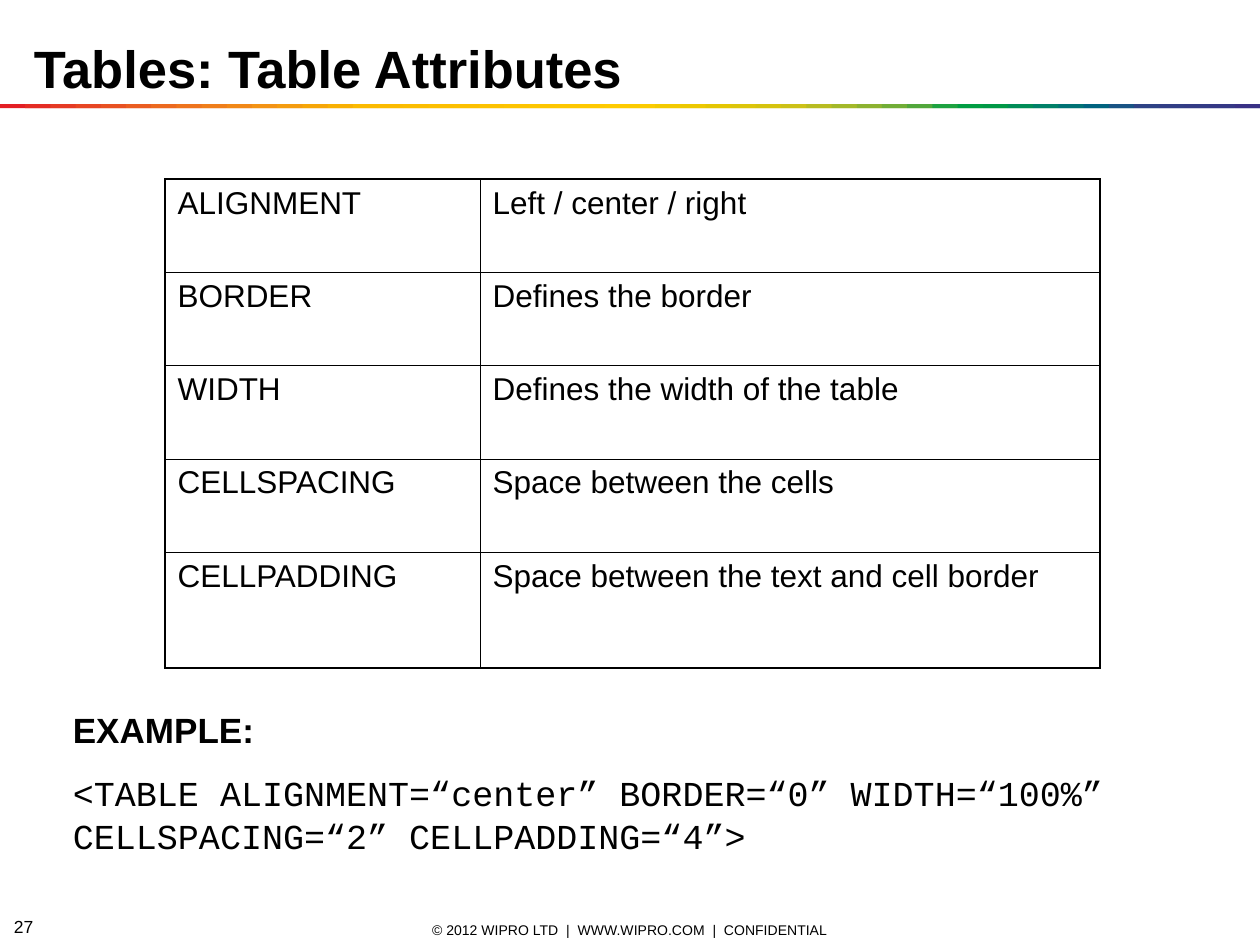
from lxml import etree
from pptx import Presentation
from pptx import util as u
from pptx.dml.color import RGBColor
from pptx.enum import shapes, text
from pptx.oxml.ns import qn

Cm, Pt = u.Cm, u.Pt
HUES = {
    "ink": "000000",
    "band": """E31E24 E42C24 E53A24 E74623 E85122 EA5D21 EC691F EE741D EF7E1A F18817
        F39314 F49C0F F6A607 F8B002 FBBA00 FBBB00 FBBD00 FCBF00 FCC000 FCC200
        FDC400 FDC600 FDC700 FEC900 FECB00 FBCB00 F3CA00 ECC800 E4C602 DCC50A
        D5C30E CCC117 B8BC21 A3B829 8CB230 71AD36 51A73B 1DA240 009D43 009846
        008C57 008068 007275 00637F 185384 2E4285 313E85 333B85 353885 393185""",
}


def add_run(par, words, size, bold=False, face="Arial"):
    run = par.add_run()
    run.text = words
    run.font.name, run.font.size, run.font.bold = face, Pt(size), bold
    run.font.color.rgb = RGBColor.from_string(HUES["ink"])


def add_box(left, top, width, height, anchor):
    frame = slide.shapes.add_textbox(Cm(left), Cm(top), Cm(width), Cm(height)).text_frame
    frame.word_wrap = True
    frame.vertical_anchor = anchor
    return frame


deck = Presentation()
deck.slide_width, deck.slide_height = Cm(25.4), Cm(19.05)
slide = deck.slides.add_slide(deck.slide_layouts[5])

# Footer and page number
par = add_box(8.38, 18.49, 8.64, 0.51, text.MSO_ANCHOR.MIDDLE).paragraphs[0]
par.alignment = text.PP_ALIGN.CENTER
add_run(par, "© 2012 WIPRO LTD  |  WWW.WIPRO.COM  |  CONFIDENTIAL", 8)
par = add_box(0.03, 18.47, 0.99, 0.41, text.MSO_ANCHOR.MIDDLE).paragraphs[0]
add_run(par, "27", 10)

# Rainbow rule: each strip overlaps the next by half
band = slide.shapes.add_group_shape()
hues = HUES["band"].split()
step = deck.slide_width // len(hues)
for i, hue in enumerate(hues):
    left = i * step
    width = min(2 * step, deck.slide_width - left)
    strip = band.shapes.add_shape(
        shapes.MSO_SHAPE.RECTANGLE, left, Cm(2.1), width, Cm(0.08))
    strip.shadow.inherit = False
    strip.fill.solid()
    strip.fill.fore_color.rgb = RGBColor.from_string(hue)
    strip.line.fill.background()

# Title
title = slide.shapes.title
title.left, title.top, title.width, title.height = Cm(0.43), Cm(0.61), Cm(20.96), Cm(1.52)
title.text_frame.vertical_anchor = text.MSO_ANCHOR.BOTTOM
title.text_frame.auto_size = text.MSO_AUTO_SIZE.NONE
par = title.text_frame.paragraphs[0]
par.alignment = text.PP_ALIGN.LEFT
add_run(par, "Tables: Table Attributes", 30, True)

# Attribute table
rows = [
    ("ALIGNMENT", "Left / center / right"),
    ("BORDER", "Defines the border"),
    ("WIDTH", "Defines the width of the table"),
    ("CELLSPACING", "Space between the cells"),
    ("CELLPADDING", "Space between the text and cell border"),
]
last = len(rows) - 1
grid = slide.shapes.add_table(
    len(rows), 2, Cm(3.33), Cm(3.61), Cm(18.85), Cm(9.86)).table
grid.first_row = grid.horz_banding = False
grid.columns[0].width, grid.columns[1].width = Cm(6.35), Cm(12.5)
for r, row in enumerate(rows):
    grid.rows[r].height = Cm(2.34 if r == last else 1.88)
    for c, words in enumerate(row):
        cell = grid.cell(r, c)
        cell.margin_left = cell.margin_right = Cm(0.25)
        cell.margin_top = cell.margin_bottom = Cm(0.13)
        add_run(cell.text_frame.paragraphs[0], words, 18)
        # Thick lines on the outer edge, thin ones inside
        props = cell._tc.get_or_add_tcPr()
        edges = {"lnL": c == 0, "lnR": c == 1, "lnT": r == 0, "lnB": r == last}
        for tag, outer in edges.items():
            line = etree.SubElement(props, qn("a:" + tag), w=str(Pt(1.08 if outer else 0.45)))
            fill = etree.SubElement(line, qn("a:solidFill"))
            etree.SubElement(fill, qn("a:srgbClr"), val=HUES["ink"])
        cell.fill.background()

# Example
frame = add_box(1.22, 14.15, 23.06, 3.25, text.MSO_ANCHOR.TOP)
add_run(frame.paragraphs[0], "EXAMPLE:", 20, True)
par = frame.add_paragraph()
par.space_before = Pt(12.5)
add_run(par, "<TABLE ALIGNMENT=“center” BORDER=“0” WIDTH=“100%” "
        "CELLSPACING=“2” CELLPADDING=“4”>", 20, face="Courier New")

deck.save("out.pptx")
